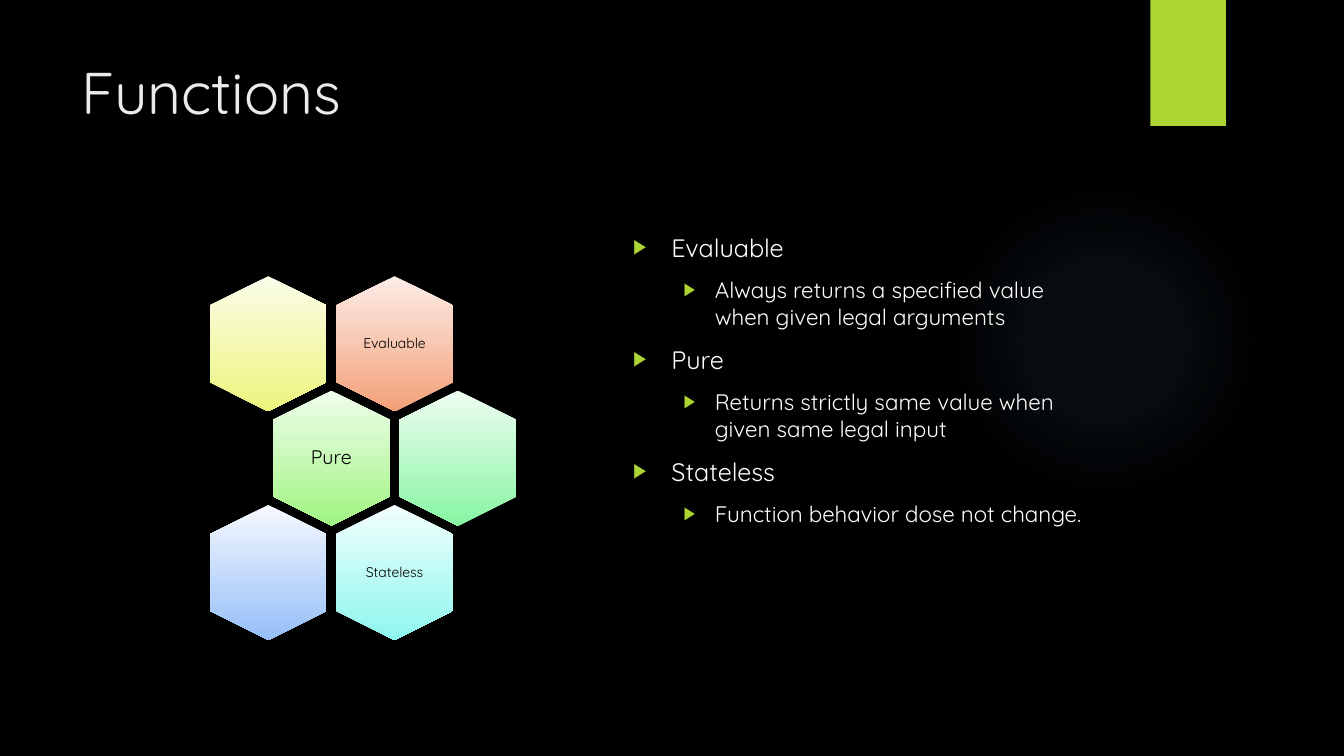
from lxml import etree
from pptx import Presentation
from pptx.dml.color import RGBColor
from pptx.enum.shapes import MSO_SHAPE
from pptx.enum.text import MSO_ANCHOR, MSO_AUTO_SIZE, PP_ALIGN
from pptx.oxml.ns import qn
from pptx.util import Inches, Pt

RECT, OVAL, HEXAGON = MSO_SHAPE.RECTANGLE, MSO_SHAPE.OVAL, MSO_SHAPE.HEXAGON
TOP, MIDDLE = MSO_ANCHOR.TOP, MSO_ANCHOR.MIDDLE
LEFT, CENTER = PP_ALIGN.LEFT, PP_ALIGN.CENTER
NO_AUTOFIT = MSO_AUTO_SIZE.NONE

FONT = "Quicksand"
COLORS = {
    "bg": "000000", "accent": "ACD433", "glow": "7AC4F0",
    "title": "EBEBEB", "body": "FFFFFF", "label": "000000",
}
HEXAGONS = [
    [("", 0, "FBFDE9", "EDF47C"), ("Evaluable", 10, "FCEDE7", "F3A078")],
    [("Pure", 14, "EFFDEC", "A0F581"), ("", 0, "EEFDF1", "87F6A3")],
    [("", 0, "F5F8FE", "96BFF8"), ("Stateless", 10, "F2FEFD", "8EF7EE")],
]
BULLETS = [
    (0, "Evaluable"),
    (1, "Always returns a specified value when given legal arguments"),
    (0, "Pure"),
    (1, "Returns strictly same value when given same legal input"),
    (0, "Stateless"),
    (1, "Function behavior dose not change."),
]
LEVELS = [(18, 0.38, -0.38), (16, 0.81, -0.31)]


def rgb(name):
    return RGBColor.from_string(COLORS[name])


def set_attrs(obj, **values):
    for key, value in values.items():
        setattr(obj, key, value)


def place(sp, box):
    set_attrs(sp, **dict(zip(("left", "top", "width", "height"), map(Inches, box))))


def add_run(p, text, size, color):
    r = p.add_run()
    r.text = text
    set_attrs(r.font, name=FONT, size=Pt(size))
    r.font.color.rgb = rgb(color)


def add_plain(shapes, kind, box):
    sp = shapes.add_shape(kind, *map(Inches, box))
    sp.shadow.inherit = False
    sp.line.fill.background()
    return sp


def fill_gradient(sp, stops, radial=False):
    sp.fill.background()
    old = sp._element.spPr.find(qn("a:noFill"))
    grad = etree.Element(qn("a:gradFill"), rotWithShape="0")
    stop_list = etree.SubElement(grad, qn("a:gsLst"))
    for pos, color, alpha in stops:
        gs = etree.SubElement(stop_list, qn("a:gs"), pos=str(pos * 1000))
        clr = etree.SubElement(gs, qn("a:srgbClr"), val=color)
        if alpha < 100:
            etree.SubElement(clr, qn("a:alpha"), val=str(alpha * 1000))
    if radial:
        shade = etree.SubElement(grad, qn("a:path"), path="circle")
        etree.SubElement(shade, qn("a:fillToRect"), l="50000", t="50000", r="50000", b="50000")
    else:
        etree.SubElement(grad, qn("a:lin"), ang="5400000", scaled="0")
    old.getparent().replace(old, grad)


def add_backdrop(slide):
    slide.background.fill.solid()
    slide.background.fill.fore_color.rgb = rgb("bg")
    glow = add_plain(slide.shapes, OVAL, (9.41, 1.83, 3.08, 3.08))
    fill_gradient(glow, [(pos, COLORS["glow"], alpha) for pos, alpha in ((0, 7), (36, 6), (69, 0))], True)
    tab = add_plain(slide.shapes, RECT, (11.41, 0, 0.75, 1.25))
    tab.fill.solid()
    tab.fill.fore_color.rgb = rgb("accent")
    for sp in (tab, glow):
        slide.shapes._spTree.insert(2, sp._element)


def add_title(slide, box):
    sp = slide.shapes.title
    place(sp, box)
    tf = sp.text_frame
    set_attrs(tf, vertical_anchor=TOP, word_wrap=True, auto_size=NO_AUTOFIT)
    p = tf.paragraphs[0]
    p.alignment = LEFT
    add_run(p, "Functions", 42, "title")


def add_label(shapes, text, size, cx, cy):
    w, h = 0.8, 0.92
    tf = shapes.add_textbox(*map(Inches, (cx - w / 2, cy - h / 2, w, h))).text_frame
    margin = Inches(size * 0.004)
    set_attrs(tf, word_wrap=True, vertical_anchor=MIDDLE, margin_left=margin,
              margin_right=margin, margin_top=margin, margin_bottom=margin)
    p = tf.paragraphs[0]
    set_attrs(p, alignment=CENTER, line_spacing=0.9)
    add_run(p, text, size, "label")


def add_honeycomb(slide, box):
    left, top, width, height = box
    long, short = 1.34, 1.16
    step_x = (width - short) / 1.5
    step_y = (height - long) / 2
    shapes = slide.shapes.add_group_shape().shapes
    for row, cells in enumerate(HEXAGONS):
        for col, (text, size, light, dark) in enumerate(cells):
            cx = left + short / 2 + step_x * (col + row % 2 / 2)
            cy = top + long / 2 + step_y * row
            sp = add_plain(shapes, HEXAGON, (cx - long / 2, cy - short / 2, long, short))
            sp.rotation = 90
            fill_gradient(sp, [(0, light, 100), (100, dark, 100)])
            if text:
                add_label(shapes, text, size, cx, cy)


def add_bullet(p, indent, hanging):
    pPr = p._p.get_or_add_pPr()
    pPr.set("marL", str(Inches(indent)))
    pPr.set("indent", str(Inches(hanging)))
    clr = etree.SubElement(pPr, qn("a:buClr"))
    etree.SubElement(clr, qn("a:srgbClr"), val=COLORS["accent"])
    etree.SubElement(pPr, qn("a:buSzPct"), val="80000")
    etree.SubElement(pPr, qn("a:buChar"), char="▶")


def add_body(slide, box):
    sp = slide.placeholders[1]
    place(sp, box)
    tf = sp.text_frame
    set_attrs(tf, vertical_anchor=TOP, word_wrap=True, auto_size=NO_AUTOFIT)
    for i, (level, text) in enumerate(BULLETS):
        p = tf.add_paragraph() if i else tf.paragraphs[0]
        size, indent, hanging = LEVELS[level]
        set_attrs(p, level=level, alignment=LEFT, space_before=Pt(10))
        add_bullet(p, indent, hanging)
        add_run(p, text, size, "body")


def main():
    prs = Presentation()
    set_attrs(prs, slide_width=Inches(13.33), slide_height=Inches(7.5))
    slide = prs.slides.add_slide(prs.slide_layouts[1])
    add_backdrop(slide)
    add_title(slide, (0.71, 0.5, 10.29, 1.53))
    add_honeycomb(slide, (2.08, 2.74, 3.04, 3.61))
    add_body(slide, (6.18, 2.25, 4.81, 4.59))
    prs.save("out.pptx")


if __name__ == "__main__":
    main()
